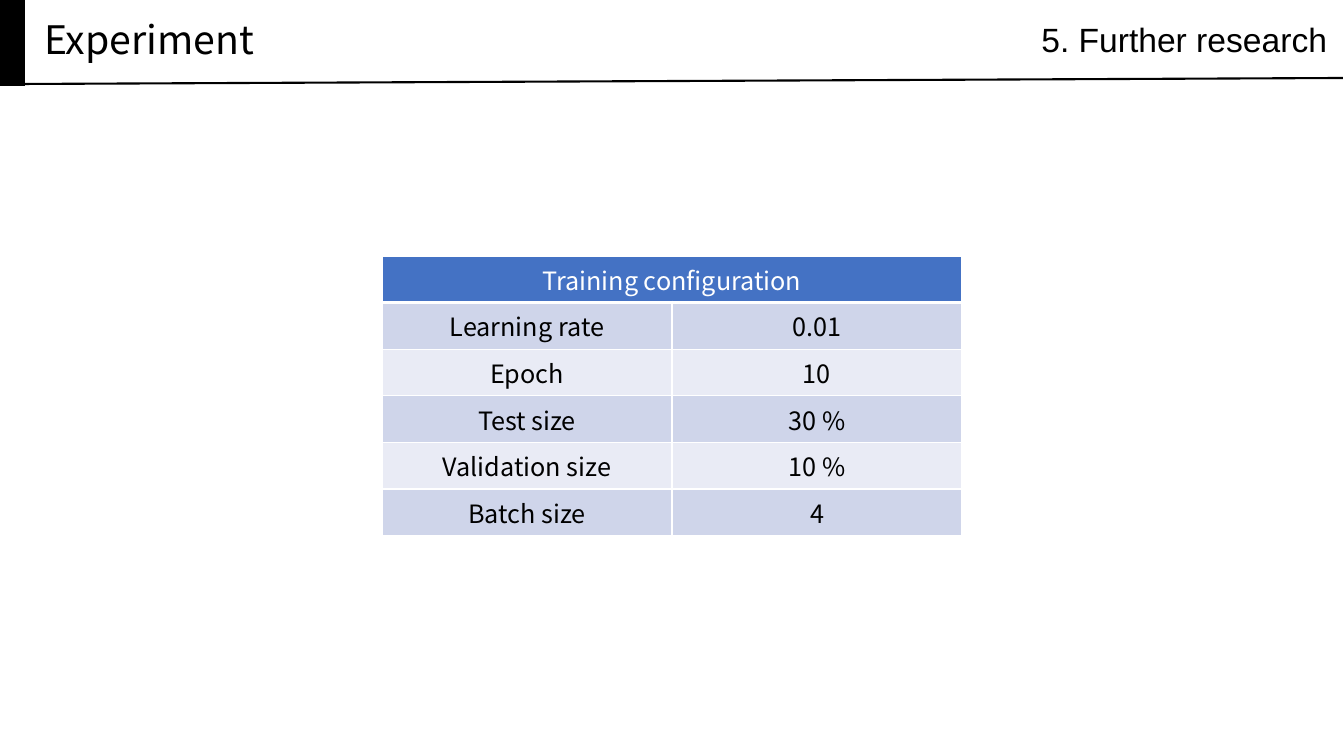
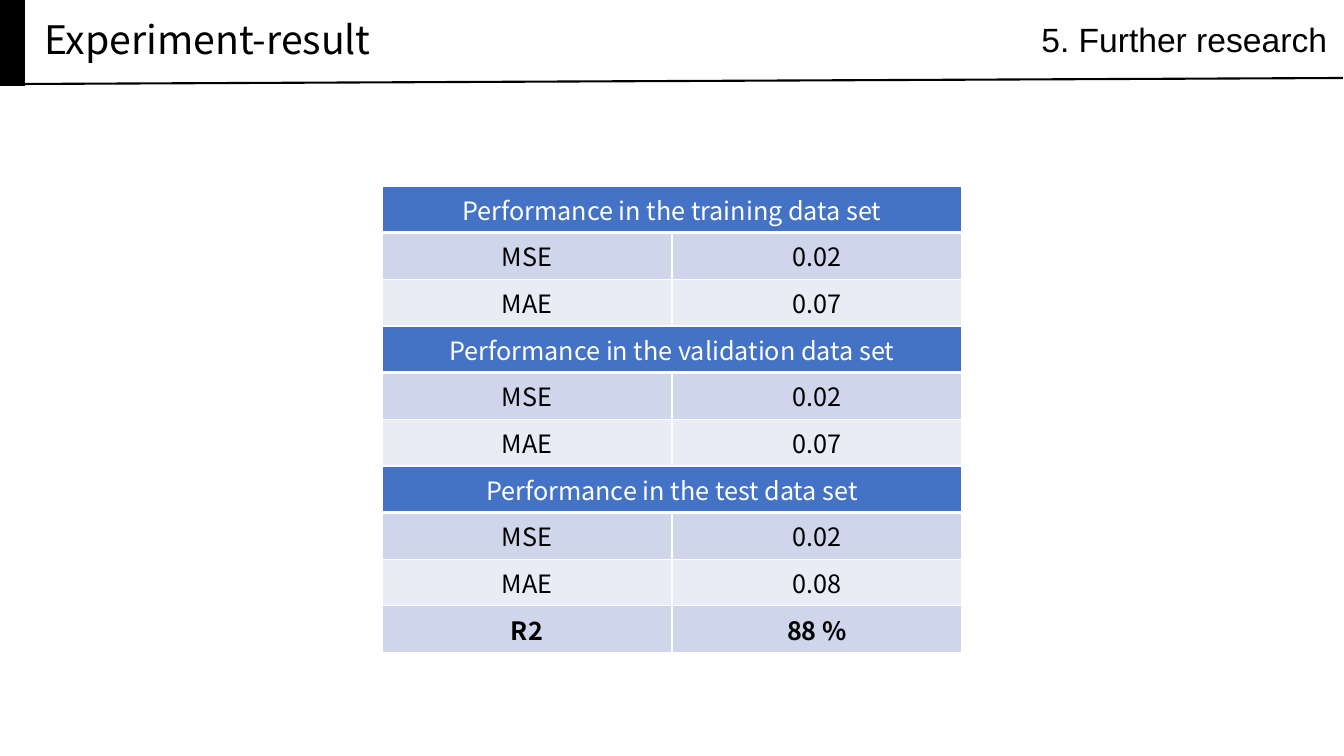
from pptx import Presentation
from pptx.dml.color import RGBColor
from pptx.enum.shapes import MSO_CONNECTOR, MSO_SHAPE
from pptx.enum.text import MSO_ANCHOR as ANCHOR, MSO_AUTO_SIZE as AUTO_SIZE, PP_ALIGN as ALIGN
from pptx.oxml import parse_xml
from pptx.oxml.ns import nsdecls
from pptx.oxml.xmlchemy import OxmlElement
from pptx.util import Emu, Pt

SECTION = "5. Further research"
# Each slide: title, top of the first table, tables as (heading, rows)
SLIDES = [
    ("Experiment", 256, [
        ("Training configuration", [
            ("Learning rate", "0.01"),
            ("Epoch", "10"),
            ("Test size", "30 %"),
            ("Validation size", "10 %"),
            ("Batch size", "4"),
        ]),
    ]),
    ("Experiment-result", 186, [
        ("Performance in the training data set", [("MSE", "0.02"), ("MAE", "0.07")]),
        ("Performance in the validation data set", [("MSE", "0.02"), ("MAE", "0.07")]),
        ("Performance in the test data set", [("MSE", "0.02"), ("MAE", "0.08"), ("R2", "88 %")]),
    ]),
]
BOLD_ROWS = {"R2"}

BLACK = RGBColor(0x00, 0x00, 0x00)
WHITE = RGBColor(0xFF, 0xFF, 0xFF)
HEAD_BLUE = RGBColor(0x44, 0x72, 0xC4)
ROW_FILLS = [RGBColor(0xCF, 0xD5, 0xEA), RGBColor(0xE9, 0xEB, 0xF5)]
MAIN_FONT = "Noto Sans CJK KR"
SECTION_FONT = "Arial"

SLIDE_W, SLIDE_H = 1344, 756
TITLE_BOX = (34, 12, 628, 60)
SECTION_BOX = (709, 12, 628, 60)
BAND = (0, 0, 25, 86)
RULE = (24, 84, 1343, 78)
COL_W, ROW_H, TABLE_STEP = 290, 46, 140
TABLE_LEFT = SLIDE_W // 2 - COL_W


def px(*lengths):
    """Turn pixels into EMU at 100.8 pixels to the inch."""
    return [Emu(round(n * 914400 / 100.8)) for n in lengths]


def write(tf, text, font=MAIN_FONT, size=18, color=BLACK, bold=False,
          align=ALIGN.CENTER, anchor=ANCHOR.MIDDLE):
    """Fill a text frame with one formatted paragraph and return it."""
    tf.vertical_anchor = anchor
    p = tf.paragraphs[0]
    p.alignment = align
    r = p.add_run()
    r.text = text
    r.font.name, r.font.size, r.font.bold = font, Pt(size), bold
    r.font.color.rgb = color
    return p


def write_header(sp, text, **style):
    """Write one of the two texts in the top strip."""
    tf = sp.text_frame
    tf.word_wrap = True
    tf.auto_size = AUTO_SIZE.NONE
    p = write(tf, text, **style)
    p.line_spacing, p.space_before = 0.9, Pt(10)


def add_strip(s):
    """Draw the rule and black band, then hand them to the slide's layout."""
    rule = s.shapes.add_connector(MSO_CONNECTOR.STRAIGHT, *px(*RULE))
    rule.line.color.rgb, rule.line.width = BLACK, Pt(1.5)
    rule.element.spPr.append(OxmlElement("a:effectLst"))
    band = s.shapes.add_shape(MSO_SHAPE.RECTANGLE, *px(*BAND))
    band.shadow.inherit = False
    band.fill.solid()
    band.fill.fore_color.rgb = BLACK
    band.line.fill.background()
    for sp in (rule, band):
        s.slide_layout.shapes.element.append(sp.element)


def style_cell(cell, fill, bottom=1):
    """Give a cell its fill and white borders."""
    tcPr = cell._tc.get_or_add_tcPr()
    for side, width in (("L", 1), ("R", 1), ("T", 1), ("B", bottom)):
        tcPr.append(parse_xml(
            f'<a:ln{side} {nsdecls("a")} w="{Pt(width)}"><a:solidFill>'
            f'<a:srgbClr val="{WHITE}"/></a:solidFill></a:ln{side}>'))
    cell.fill.solid()
    cell.fill.fore_color.rgb = fill


def add_table(s, top, heading, rows):
    """Add a two-column table under a merged heading."""
    n = len(rows) + 1
    table = s.shapes.add_table(n, 2, *px(TABLE_LEFT, top, 2 * COL_W, n * ROW_H)).table
    for cell in table.rows[0].cells:
        style_cell(cell, HEAD_BLUE, bottom=3)
    head = table.cell(0, 0)
    head.merge(table.cell(0, 1))
    write(head.text_frame, heading, color=WHITE, anchor=ANCHOR.TOP)
    for i, row in enumerate(rows):
        for j, text in enumerate(row):
            cell = table.cell(i + 1, j)
            style_cell(cell, ROW_FILLS[i % 2])
            write(cell.text_frame, text, bold=row[0] in BOLD_ROWS)
            cell.vertical_anchor = ANCHOR.MIDDLE


prs = Presentation()
prs.slide_width, prs.slide_height = px(SLIDE_W, SLIDE_H)
layout = prs.slide_layouts.get_by_name("Title Only")

for number, (title, top, tables) in enumerate(SLIDES):
    s = prs.slides.add_slide(layout)
    if number == 0:
        add_strip(s)
    sp = s.shapes.title
    sp.left, sp.top, sp.width, sp.height = px(*TITLE_BOX)
    write_header(sp, title, size=28, align=ALIGN.LEFT)
    write_header(s.shapes.add_textbox(*px(*SECTION_BOX)), SECTION,
                 font=SECTION_FONT, size=24, align=ALIGN.RIGHT)
    for i, (heading, rows) in enumerate(tables):
        add_table(s, top + i * TABLE_STEP, heading, rows)

prs.save("out.pptx")
